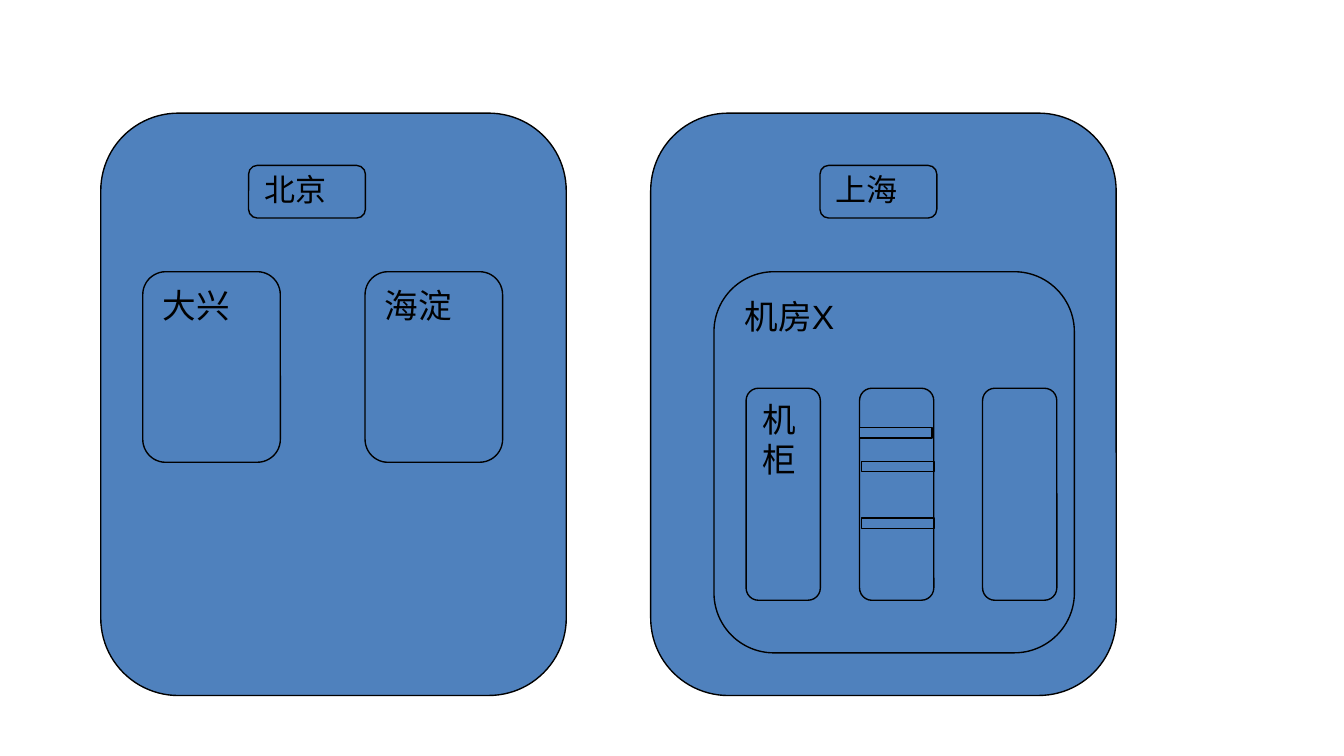
"""Build a slide that nests server rooms and cabinets inside two cities."""
from pptx import Presentation
from pptx.dml.color import RGBColor
from pptx.enum.shapes import MSO_SHAPE
from pptx.enum.text import MSO_ANCHOR, PP_ALIGN
from pptx.util import Pt

ROUNDED = MSO_SHAPE.ROUNDED_RECTANGLE
RECTANGLE = MSO_SHAPE.RECTANGLE
TOP = MSO_ANCHOR.TOP
LEFT = PP_ALIGN.LEFT
BLANK_LAYOUT = 6


def color(value):
    """Turn a hex string into a colour."""
    return RGBColor.from_string(value)


def write(shape, text, size=18, font="Arial", ink="000000", spacing=None):
    """Write one left-aligned paragraph at the top of a shape."""
    frame = shape.text_frame
    frame.word_wrap = True
    frame.vertical_anchor = TOP
    frame.margin_left = frame.margin_right = Pt(7.2)
    frame.margin_top = frame.margin_bottom = Pt(3.6)
    para = frame.paragraphs[0]
    para.alignment = LEFT
    para.line_spacing = spacing
    span = para.add_run()
    span.text = text
    span.font.name = font
    span.font.size = Pt(size)
    span.font.color.rgb = color(ink)


class Diagram:
    """Hold the style and the current page."""

    fill = "4F81BD"
    line = "000000"
    line_width = 0.75

    def __init__(self, page):
        """Start drawing on a page."""
        self.page = page

    def block(self, kind, left, top, width, height):
        """Add a filled and outlined shape."""
        box = self.page.shapes.add_shape(
            kind, Pt(left), Pt(top), Pt(width), Pt(height))
        box.shadow.inherit = False
        box.fill.solid()
        box.fill.fore_color.rgb = color(self.fill)
        box.line.color.rgb = color(self.line)
        box.line.width = Pt(self.line_width)
        return box

    def city(self, left):
        """Add the outer panel of a city."""
        self.block(ROUNDED, left, 60.6, 249.4, 312)

    def city_name(self, left, text):
        """Add the name plate of a city."""
        plate = self.block(ROUNDED, left, 88.6, 62.6, 28.2)
        write(plate, text, size=16.6, spacing=0.9)

    def room(self, left, width, height, text):
        """Add a labelled district or server room."""
        write(self.block(ROUNDED, left, 145.6, width, height), text)

    def cabinet(self, left, text=None):
        """Add a cabinet with an optional label."""
        box = self.block(ROUNDED, left, 208, 39.8, 113.6)
        if text:
            write(box, text)

    def server(self, left, top):
        """Add a server slot."""
        self.block(RECTANGLE, left, top, 38.7, 5.7)


def main():
    """Build and save the deck."""
    deck = Presentation()
    deck.slide_width, deck.slide_height = Pt(720), Pt(405)
    diagram = Diagram(deck.slides.add_slide(deck.slide_layouts[BLANK_LAYOUT]))

    for left in (54, 348.6):
        diagram.city(left)
    for left, name in ((133.2, "北京"), (439.3, "上海")):
        diagram.city_name(left, name)
    for left, name in ((76.5, "大兴"), (195.6, "海淀")):
        diagram.room(left, 73.7, 102.1, name)
    diagram.room(382.5, 193.1, 204.2, "机房X")
    for left, name in ((399.7, "机柜"), (460.5, None), (526.4, None)):
        diagram.cabinet(left, name)
    for left, top in ((460.6, 229), (461.6, 247.1), (461.6, 277.5)):
        diagram.server(left, top)

    deck.save("out.pptx")


if __name__ == "__main__":
    main()
